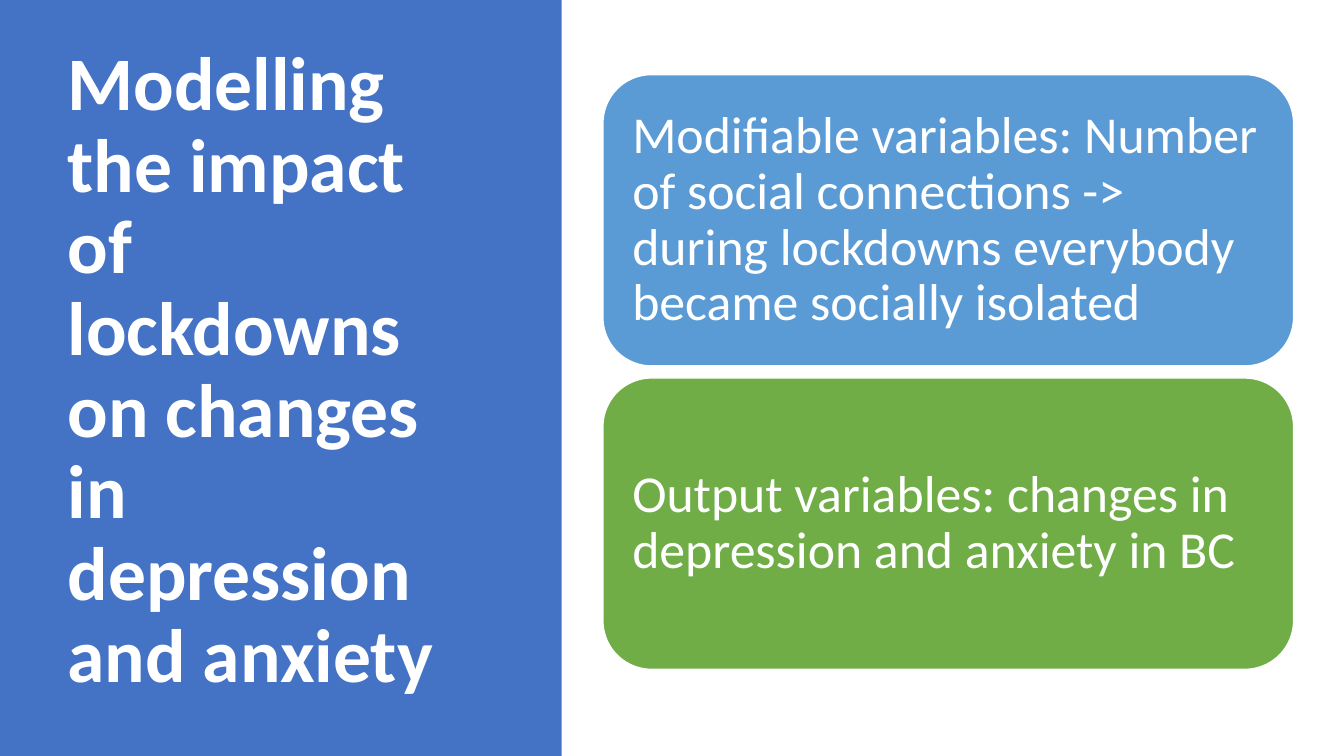
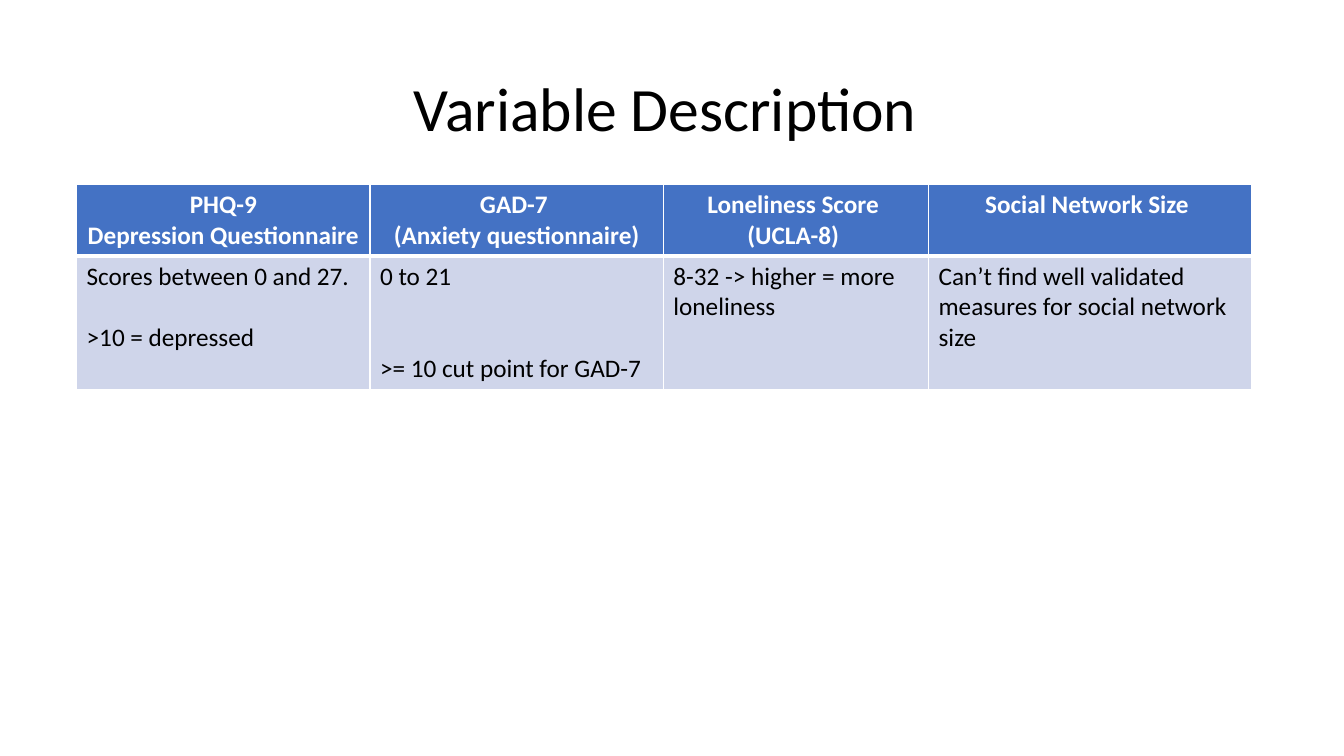
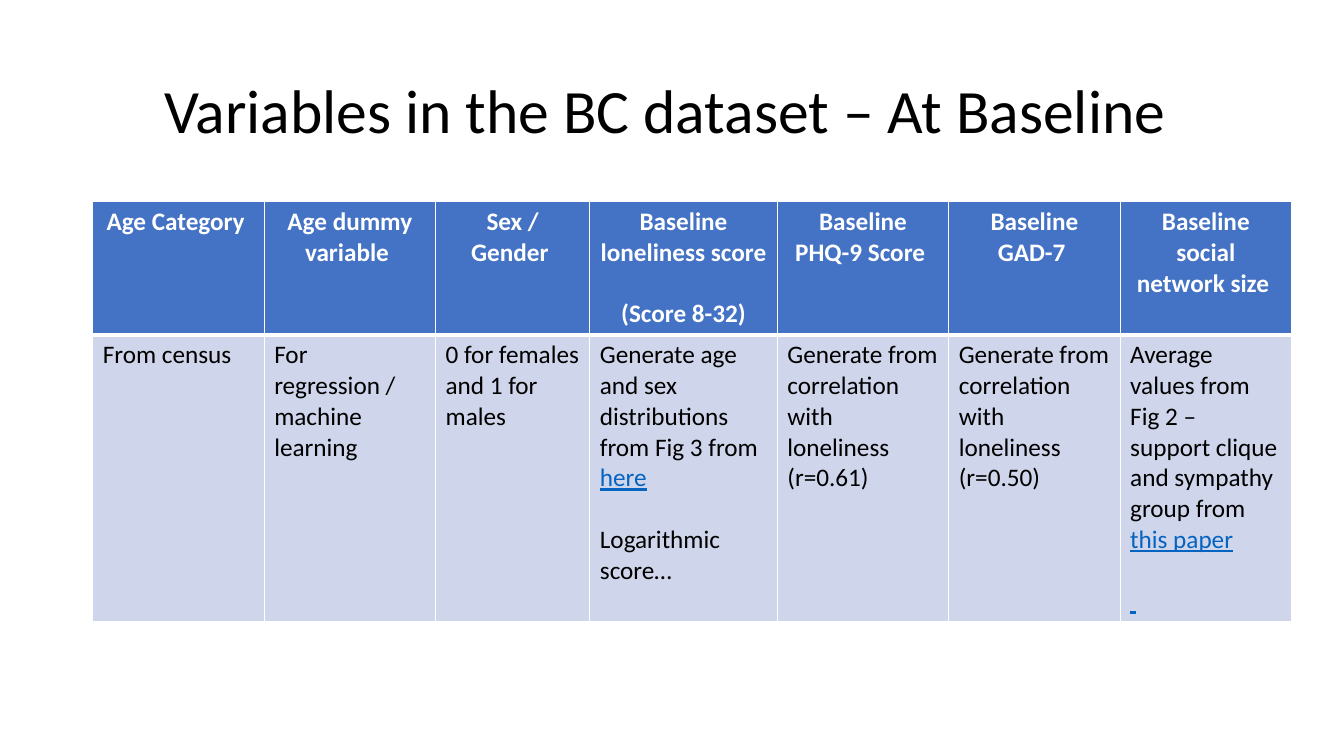
from dataclasses import dataclass

from lxml.etree import SubElement
from pptx import Presentation
from pptx.dml.color import RGBColor
from pptx.enum.shapes import MSO_SHAPE
from pptx.enum.text import MSO_ANCHOR, MSO_AUTO_SIZE, PP_ALIGN
from pptx.oxml.ns import qn
from pptx.util import Emu, Pt

PX = 9144


@dataclass(frozen=True)
class Theme:
    font: str = "Calibri"
    white: str = "FFFFFF"
    black: str = "000000"
    blue: str = "4472C4"
    sky: str = "5B9BD5"
    green: str = "70AD47"
    pale: str = "CFD5EA"
    link: str = "0563C1"
    hero_size: int = 54
    title_size: int = 44
    card_size: int = 37
    table_size: int = 18
    table_line: int = 22
    spacing: float = 0.9
    thin: int = 1
    thick: int = 3


def px(n):
    return Emu(n * PX)


def rgb(value):
    return RGBColor.from_string(value)


class Deck:
    """Style and current slide, with one method per kind of element."""

    def __init__(self, theme, width, height):
        self.theme = theme
        self.prs = Presentation()
        self.prs.slide_width, self.prs.slide_height = px(width), px(height)
        self.s = None

    def slide(self):
        self.s = self.prs.slides.add_slide(self.prs.slide_layouts[5])

    def format_run(self, r, size, color, bold=False, underline=False):
        f = r.font
        f.name, f.size = self.theme.font, Pt(size)
        f.bold, f.underline = bold, underline
        f.color.rgb = rgb(color)

    def set_text(self, tf, text, size, color, align, bold=False):
        tf.text = text
        tf.word_wrap = True
        tf.auto_size = MSO_AUTO_SIZE.NONE
        tf.vertical_anchor = MSO_ANCHOR.MIDDLE
        p = tf.paragraphs[0]
        p.alignment, p.line_spacing = align, self.theme.spacing
        self.format_run(p.runs[0], size, color, bold)

    def title(self, text, box, size, color, align=PP_ALIGN.CENTER, bold=False):
        sp = self.s.shapes.title
        sp.left, sp.top, sp.width, sp.height = map(px, box)
        self.s.shapes._spTree.append(sp._element)
        self.set_text(sp.text_frame, text, size, color, align, bold)

    def shape(self, kind, box, fill):
        sp = self.s.shapes.add_shape(kind, *map(px, box))
        sp.shadow.inherit = False
        sp.fill.solid()
        sp.fill.fore_color.rgb = rgb(fill)
        sp.line.fill.background()
        return sp

    def card(self, text, box, fill):
        sp = self.shape(MSO_SHAPE.ROUNDED_RECTANGLE, box, fill)
        sp.line.color.rgb = rgb(self.theme.white)
        sp.line.width = Pt(self.theme.thin)
        tf = sp.text_frame
        tf.margin_left = tf.margin_right = px(15)
        tf.margin_top = tf.margin_bottom = px(15)
        self.set_text(tf, text, self.theme.card_size, self.theme.white, PP_ALIGN.LEFT)

    def borders(self, cell, top, bottom):
        thin = self.theme.thin
        tcPr = cell._tc.get_or_add_tcPr()
        for side, width in zip("LRTB", (thin, thin, top, bottom)):
            ln = SubElement(tcPr, qn(f"a:ln{side}"), w=str(Pt(width)))
            fill = SubElement(ln, qn("a:solidFill"))
            SubElement(fill, qn("a:srgbClr"), val=self.theme.white)

    def cell_text(self, tf, text, color, align, bold):
        t = self.theme
        gaps = 0
        for i, line in enumerate(text.split("\n")):
            if not line:
                gaps += 1
                continue
            p = tf.add_paragraph() if i else tf.paragraphs[0]
            p.alignment, p.space_before = align, Pt(gaps * t.table_line)
            gaps = 0
            for k, part in enumerate(line.split("|")):
                if part:
                    r = p.add_run()
                    r.text = part
                    is_link = k % 2 == 1
                    self.format_run(r, t.table_size, t.link if is_link else color,
                                    bold, is_link)

    def table(self, left, top, cols, heights, rows):
        t = self.theme
        frame = self.s.shapes.add_table(len(rows), len(cols), px(left), px(top),
                                        px(sum(cols)), px(sum(heights)))
        table = frame.table
        table.horz_banding = False
        for col, width in zip(table.columns, cols):
            col.width = px(width)
        styles = (
            (t.blue, t.white, PP_ALIGN.CENTER, True, t.thin, t.thick),
            (t.pale, t.black, PP_ALIGN.LEFT, False, t.thick, t.thin),
        )
        for i, (texts, height, style) in enumerate(zip(rows, heights, styles)):
            fill, color, align, bold, upper, lower = style
            table.rows[i].height = px(height)
            for j, text in enumerate(texts):
                cell = table.cell(i, j)
                self.borders(cell, upper, lower)
                cell.fill.solid()
                cell.fill.fore_color.rgb = rgb(fill)
                self.cell_text(cell.text_frame, text, color, align, bold)


def impact_slide(deck):
    t = deck.theme
    deck.slide()
    deck.shape(MSO_SHAPE.RECTANGLE, (0, 0, 557, 750), t.blue)
    deck.title("Modelling the impact of lockdowns on changes in depression and anxiety",
               (57, 68, 416, 602), t.hero_size, t.white, PP_ALIGN.LEFT, True)
    cards = (
        ("Modifiable variables: Number of social connections -> "
         "during lockdowns everybody became socially isolated", t.sky),
        ("Output variables: changes in depression and anxiety in BC", t.green),
    )
    for i, (text, fill) in enumerate(cards):
        deck.card(text, (598, 74 + i * 301, 685, 289), fill)


def description_slide(deck):
    t = deck.theme
    deck.slide()
    deck.title("Variable Description ", (92, 38, 1150, 145), t.title_size, t.black)
    deck.table(76, 183, (291, 291, 263, 320), (71, 131), (
        ("PHQ-9\nDepression Questionnaire",
         "GAD-7 \n(Anxiety questionnaire)",
         "Loneliness Score \n(UCLA-8) ",
         "Social Network Size "),
        ("Scores between 0 and 27.\n\n>10 = depressed",
         "0 to 21\n\n\n>= 10 cut point for GAD-7",
         "8-32 -> higher = more loneliness",
         "Can’t find well validated measures for social network size"),
    ))


def baseline_slide(deck):
    t = deck.theme
    deck.slide()
    deck.title("Variables in the BC dataset – At Baseline ",
               (92, 40, 1150, 145), t.title_size, t.black)
    deck.table(92, 200, (170, 170, 153, 186, 170, 170, 170), (132, 285), (
        ("Age Category ",
         "Age dummy variable ",
         "Sex / Gender ",
         "Baseline loneliness score\n\n(Score 8-32)",
         "Baseline PHQ-9 Score ",
         "Baseline GAD-7 ",
         "Baseline social network size "),
        ("From census",
         "For regression / machine learning",
         "0 for females and 1 for males",
         "Generate age and sex distributions from Fig 3 from |here|\n\nLogarithmic score…",
         "Generate from correlation with loneliness (r=0.61)",
         "Generate from correlation with loneliness\n(r=0.50)",
         "Average values from Fig 2 – support clique and sympathy group from "
         "|this paper|\n\n| |"),
    ))


def main():
    deck = Deck(Theme(), 1333, 750)
    impact_slide(deck)
    description_slide(deck)
    baseline_slide(deck)
    deck.prs.save("out.pptx")


if __name__ == "__main__":
    main()
